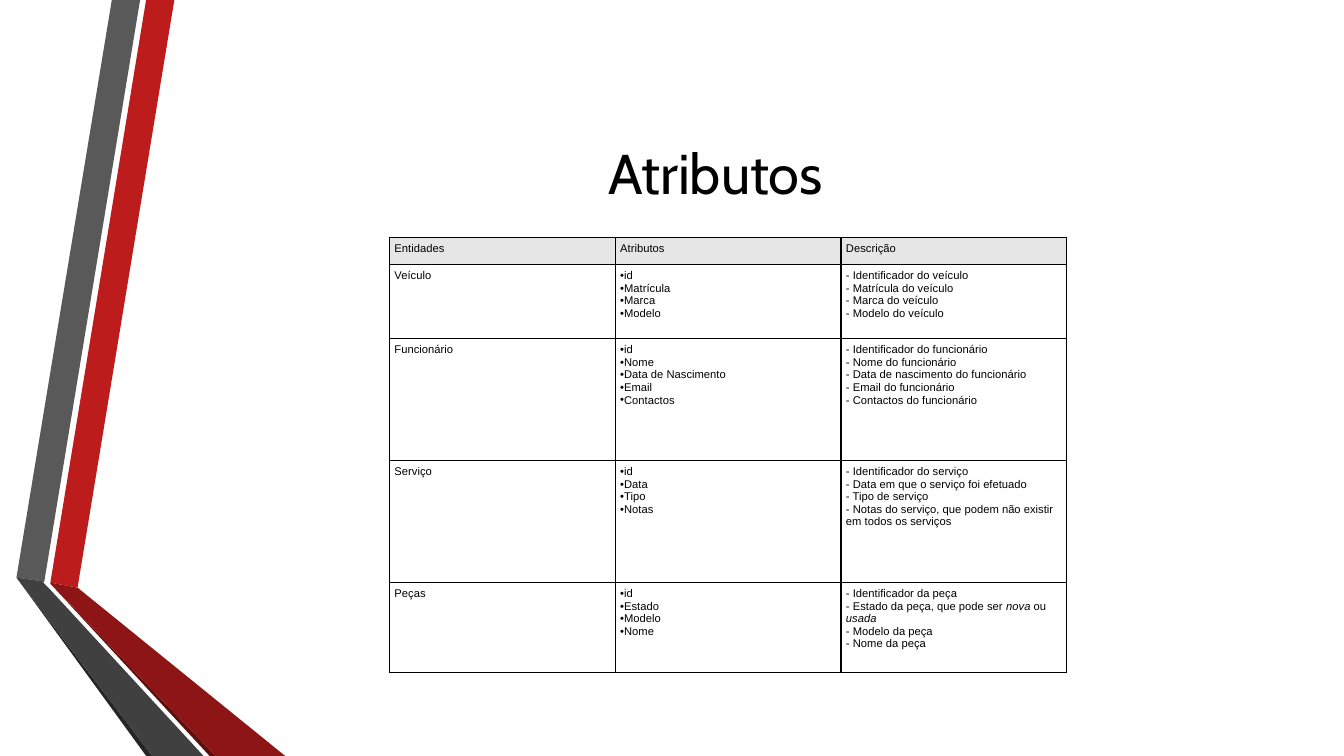
from dataclasses import dataclass

from lxml import etree
from pptx import Presentation
from pptx.dml.color import RGBColor
from pptx.enum.text import MSO_ANCHOR, PP_ALIGN
from pptx.oxml.ns import qn
from pptx.util import Emu, Inches, Pt

CENTER, LEFT = PP_ALIGN.CENTER, PP_ALIGN.LEFT
MIDDLE, TOP = MSO_ANCHOR.MIDDLE, MSO_ANCHOR.TOP

# Grid of square units: 40 columns by 22.5 rows
COLUMNS, ROWS = 40, 22.5
UNIT = Inches(7.5) / ROWS


@dataclass(frozen=True)
class Theme:
    text: str = "000000"
    border: str = "000000"
    header: str = "E6E6E6"
    red: str = "BC1C1C"
    red_dark: str = "8D1515"
    red_shade: str = "5E0E0E"
    grey: str = "595959"
    grey_dark: str = "404040"
    grey_shade: str = "262626"
    title_font: str = "Cabin"
    body_font: str = "Arial"
    title_size: int = 40
    body_size: int = 8
    border_width: int = 1
    cell_margin: float = 0.15


def grid(n):
    return Emu(round(n * UNIT))


def write(p, text, font, size, color, align=LEFT, bullet=None):
    """Fill a paragraph; parts between asterisks are italic."""
    p.alignment = align
    for i, part in enumerate(text.split("*")):
        if part:
            r = p.add_run()
            r.text = part
            r.font.name = font
            r.font.size = Pt(size)
            r.font.italic = i % 2 == 1
            r.font.bold = False
            r.font.color.rgb = RGBColor.from_string(color)
    if bullet:
        pPr = p._p.get_or_add_pPr()
        pPr.set("marL", "0")
        pPr.set("indent", "0")
        etree.SubElement(pPr, qn("a:buFont")).set("typeface", font)
        etree.SubElement(pPr, qn("a:buChar")).set("char", bullet)


class SlideBuilder:
    def __init__(self, prs, theme):
        self.theme = theme
        self.s = prs.slides.add_slide(prs.slide_layouts[6])

    def ribbon(self, color, points):
        start, *rest = [(grid(x), grid(y)) for x, y in points]
        builder = self.s.shapes.build_freeform(*start)
        builder.add_line_segments(rest, close=True)
        sp = builder.convert_to_shape()
        sp.shadow.inherit = False
        sp.fill.solid()
        sp.fill.fore_color.rgb = RGBColor.from_string(color)
        sp.line.fill.background()

    def title(self, text, x, y, w, h):
        t = self.theme
        sp = self.s.shapes.add_textbox(*map(grid, (x, y, w, h)))
        tf = sp.text_frame
        tf.word_wrap = True
        tf.vertical_anchor = MIDDLE
        write(tf.paragraphs[0], text, t.title_font, t.title_size, t.text, CENTER)

    def border(self, cell):
        tcPr = cell._tc.get_or_add_tcPr()
        for side in ("a:lnL", "a:lnR", "a:lnT", "a:lnB"):
            ln = etree.SubElement(tcPr, qn(side))
            ln.set("w", str(Pt(self.theme.border_width)))
            fill = etree.SubElement(ln, qn("a:solidFill"))
            etree.SubElement(fill, qn("a:srgbClr")).set("val", self.theme.border)

    def cell(self, cell, lines, fill=None, bullet=None):
        t = self.theme
        self.border(cell)
        if fill:
            cell.fill.solid()
            cell.fill.fore_color.rgb = RGBColor.from_string(fill)
        else:
            cell.fill.background()
        margin = grid(t.cell_margin)
        cell.margin_left = cell.margin_right = margin
        cell.margin_top = cell.margin_bottom = margin
        cell.vertical_anchor = TOP
        tf = cell.text_frame
        for i, line in enumerate(lines):
            p = tf.add_paragraph() if i else tf.paragraphs[0]
            write(p, line, t.body_font, t.body_size, t.text, bullet=bullet)

    def table(self, header, entities, x, y, col_width, row_heights):
        n_rows, n_cols = len(row_heights), len(header)
        size = (n_cols * col_width, sum(row_heights))
        frame = self.s.shapes.add_table(n_rows, n_cols, *map(grid, (x, y, *size)))
        tbl = frame.table
        tbl.first_row = tbl.horz_banding = False
        for col in tbl.columns:
            col.width = grid(col_width)
        for row, height in zip(tbl.rows, row_heights):
            row.height = grid(height)
        for c, label in enumerate(header):
            self.cell(tbl.cell(0, c), [label], fill=self.theme.header)
        for r, (entity, attributes) in enumerate(entities.items(), start=1):
            self.cell(tbl.cell(r, 0), [entity])
            self.cell(tbl.cell(r, 1), attributes, bullet="•")
            self.cell(tbl.cell(r, 2), [f"- {d}" for d in attributes.values()])


# Each entity maps its attributes to their descriptions
ENTITIES = {
    "Veículo": {
        "id": "Identificador do veículo",
        "Matrícula": "Matrícula do veículo",
        "Marca": "Marca do veículo",
        "Modelo": "Modelo do veículo",
    },
    "Funcionário": {
        "id": "Identificador do funcionário",
        "Nome": "Nome do funcionário",
        "Data de Nascimento": "Data de nascimento do funcionário",
        "Email": "Email do funcionário",
        "Contactos": "Contactos do funcionário",
    },
    "Serviço": {
        "id": "Identificador do serviço",
        "Data": "Data em que o serviço foi efetuado",
        "Tipo": "Tipo de serviço",
        "Notas": "Notas do serviço, que podem não existir em todos os serviços",
    },
    "Peças": {
        "id": "Identificador da peça",
        "Estado": "Estado da peça, que pode ser *nova *ou *usada*",
        "Modelo": "Modelo da peça",
        "Nome": "Nome da peça",
    },
}


def main():
    prs = Presentation()
    prs.slide_width, prs.slide_height = grid(COLUMNS), grid(ROWS)
    theme = Theme()
    slide = SlideBuilder(prs, theme)

    # Folded ribbons on the left, back to front
    ribbons = [
        (theme.red, [(1.5, 17.34), (2.31, 17.49), (5.19, 0), (4.35, 0)]),
        (theme.grey, [(0.49, 17.19), (1.32, 17.31), (4.17, 0), (3.33, 0)]),
        (theme.grey_shade, [(0.49, 17.19), (4.35, ROWS), (4.53, ROWS)]),
        (theme.red_shade, [(1.5, 17.37), (6.24, ROWS), (6.42, ROWS)]),
        (theme.red_dark, [(1.5, 17.34), (1.5, 17.37), (6.42, ROWS),
                          (8.49, ROWS), (2.31, 17.49)]),
        (theme.grey_dark, [(0.49, 17.19), (4.53, ROWS), (6.06, ROWS),
                           (1.44, 17.49), (1.29, 17.34), (1.32, 17.31)]),
    ]
    for color, points in ribbons:
        slide.ribbon(color, points)

    # Title and table
    slide.title("Atributos", 4.86, 2.25, 32.88, 5.76)
    slide.table(["Entidades", "Atributos", "Descrição"], ENTITIES,
                x=11.59, y=7.06, col_width=6.72,
                row_heights=[0.81, 2.2, 3.63, 3.63, 2.68])

    prs.save("out.pptx")


if __name__ == "__main__":
    main()
